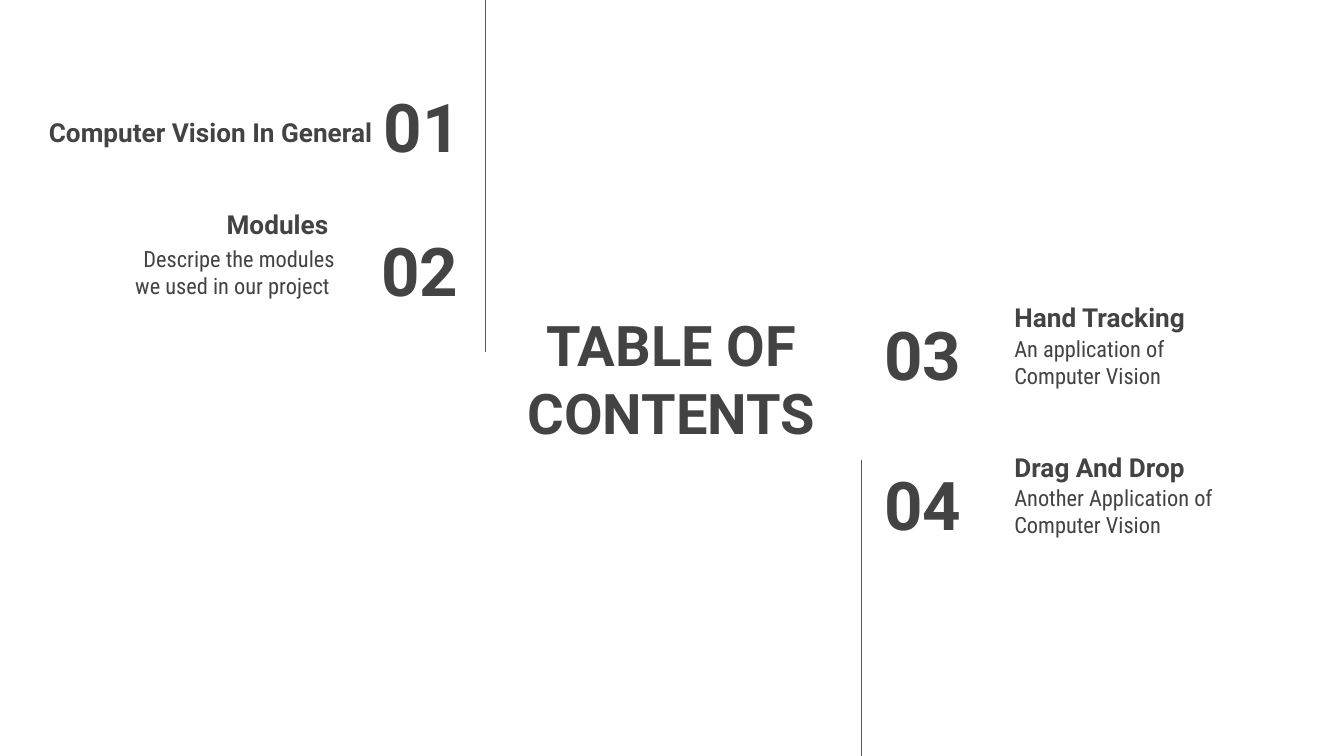
from lxml.etree import SubElement
from pptx import Presentation
from pptx.dml.color import RGBColor
from pptx.enum.shapes import MSO_CONNECTOR as Connector
from pptx.enum.text import MSO_ANCHOR as Anchor, PP_ALIGN as Align
from pptx.oxml.ns import qn
from pptx.util import Cm, Pt

DARK = RGBColor(0x43, 0x43, 0x43)
GREY = RGBColor(0x59, 0x59, 0x59)
WIDTH, HEIGHT = 25.4, 14.29
ROW_HEIGHT = 1.6
INSET = 0.25


def add_text(slide, text, left, top, width, height=ROW_HEIGHT, *, size,
             font="Roboto", bold=True, align=Align.LEFT, anchor=Anchor.MIDDLE):
    shape = slide.shapes.add_textbox(Cm(left), Cm(top), Cm(width), Cm(height))
    frame = shape.text_frame
    frame.word_wrap = True
    frame.vertical_anchor = anchor
    frame.margin_left = frame.margin_right = Cm(INSET)
    frame.margin_top = frame.margin_bottom = Cm(INSET)
    paragraph = frame.paragraphs[0]
    paragraph.alignment = align
    run = paragraph.add_run()
    run.text = text
    run.font.name = font
    run.font.size = Pt(size)
    run.font.bold = bold
    run.font.color.rgb = DARK


def add_number(slide, text, left, top, width, align=Align.LEFT):
    add_text(slide, text, left, top, width, size=36, align=align)


def add_heading(slide, text, left, top, width, align=Align.LEFT):
    add_text(slide, text, left, top, width, size=14, align=align,
             anchor=Anchor.BOTTOM)


def add_description(slide, text, left, top, align=Align.LEFT):
    add_text(slide, text, left, top, 4.65, size=12, font="Roboto Condensed",
             bold=False, align=align, anchor=Anchor.TOP)


def add_vertical_line(slide, x, top, bottom):
    line = slide.shapes.add_connector(
        Connector.STRAIGHT, Cm(x), Cm(top), Cm(x), Cm(bottom))
    line.line.color.rgb = GREY
    line.line.width = Pt(0.75)
    SubElement(line._element.spPr, qn("a:effectLst"))


def add_right_entry(slide, number, heading, description, top):
    add_number(slide, number, 16.46, top, 2.97)
    add_heading(slide, heading, 18.92, top - 0.95, 5.49)
    add_description(slide, description, 18.92, top + 0.19)


def main():
    presentation = Presentation()
    presentation.slide_width = Cm(WIDTH)
    presentation.slide_height = Cm(HEIGHT)
    slide = presentation.slides.add_slide(presentation.slide_layouts[6])

    add_text(slide, "TABLE OF CONTENTS", 9.4, 5.84, 6.58, 2.62, size=30,
             align=Align.CENTER)

    add_heading(slide, "Computer Vision In General", 0.36, 1.45, 6.93,
                Align.RIGHT)
    add_number(slide, "01", 5.89, 1.57, 3.07, Align.RIGHT)

    add_heading(slide, "Modules ", 1.09, 3.18, 5.49, Align.RIGHT)
    add_number(slide, "02", 5.84, 4.29, 3.07, Align.RIGHT)
    add_description(slide, "Descripe the modules we used in our project ",
                    1.93, 4.39, Align.RIGHT)

    add_right_entry(slide, "03", "Hand Tracking",
                    "An application of Computer Vision", 5.89)
    add_right_entry(slide, "04", "Drag And Drop",
                    "Another Application of Computer Vision", 8.72)

    add_vertical_line(slide, 9.17, 0, 6.65)
    add_vertical_line(slide, 16.28, 8.69, HEIGHT)

    presentation.save("out.pptx")


if __name__ == "__main__":
    main()
